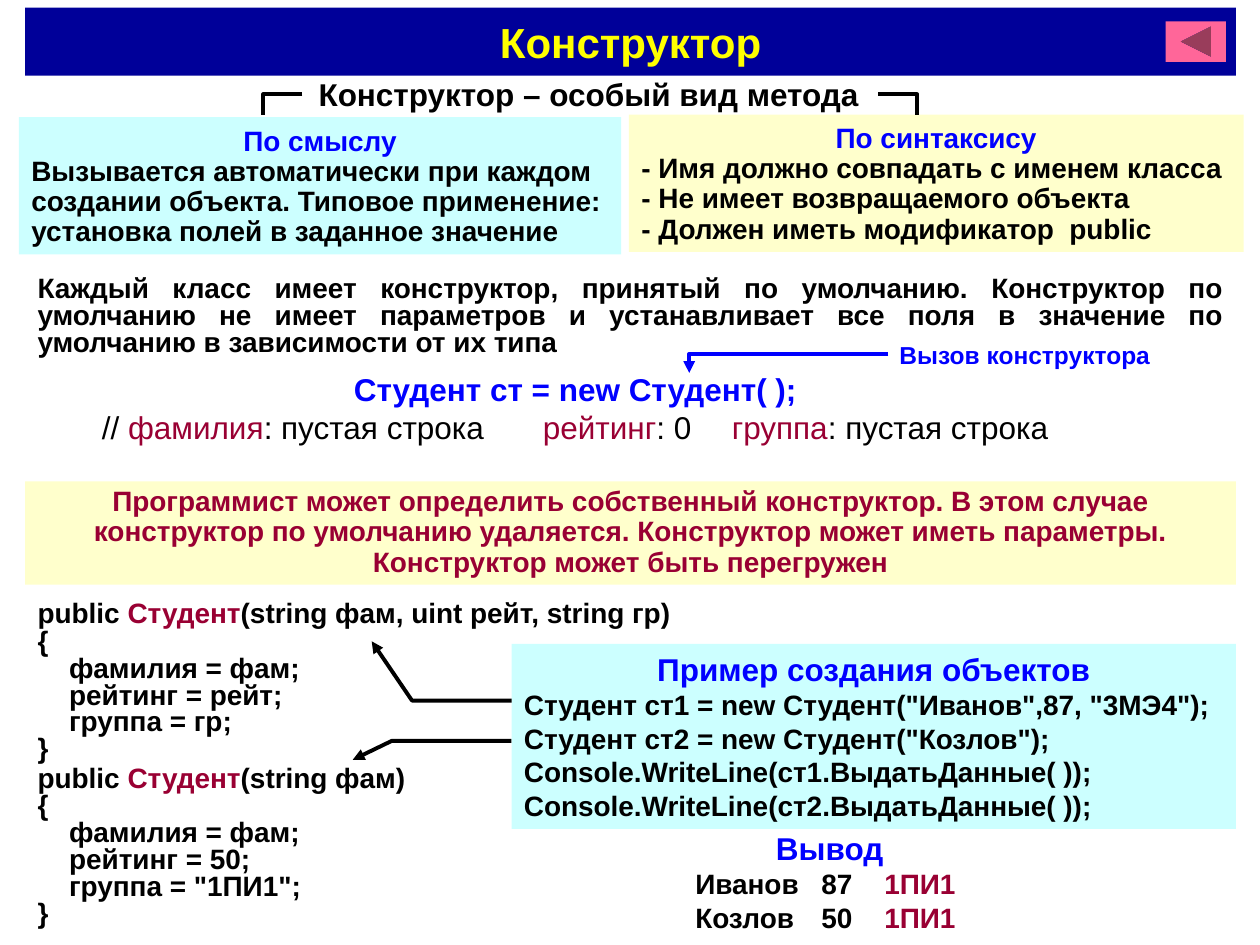
import dataclasses

import pptx
import pptx.dml.color
import pptx.enum.shapes
import pptx.enum.text
import pptx.oxml.ns
import pptx.util
from lxml import etree

Inches = pptx.util.Inches
Align = pptx.enum.text.PP_ALIGN
Preset = pptx.enum.shapes.MSO_SHAPE


@dataclasses.dataclass(frozen=True)
class Theme:
    font: str = "Arial"
    navy: str = "000099"
    yellow: str = "FFFF00"
    pink: str = "FF6699"
    cyan: str = "CCFFFF"
    cream: str = "FFFFCC"
    blue: str = "0000FF"
    wine: str = "990033"
    black: str = "000000"
    title: int = 24
    heading: int = 18
    body: int = 16
    note: int = 14
    line: float = 2.25


THEME = Theme()


def rgb(value):
    return pptx.dml.color.RGBColor.from_string(value)


def add_child(parent, tag, **attributes):
    child = etree.SubElement(parent, pptx.oxml.ns.qn(tag))
    for name, value in attributes.items():
        child.set(name, str(value))
    return child


def para(*runs, size=THEME.body, color=THEME.black, bold=True, align=Align.LEFT,
         spacing=1.0, indent=0, tabs=()):
    """Describe a paragraph; a run is a string or a (string, colour) pair."""
    pairs = [(run, color) if isinstance(run, str) else run for run in runs]
    return dict(runs=pairs, size=size, bold=bold, align=align, spacing=spacing,
                indent=indent, tabs=tabs)


def heading(text, size=THEME.heading):
    return para(text, size=size, color=THEME.blue, align=Align.CENTER)


def write(shape, paragraphs, anchor=pptx.enum.text.MSO_ANCHOR.TOP):
    frame = shape.text_frame
    frame.word_wrap = True
    frame.auto_size = pptx.enum.text.MSO_AUTO_SIZE.NONE
    frame.vertical_anchor = anchor
    for index, content in enumerate(paragraphs):
        paragraph = frame.add_paragraph() if index else frame.paragraphs[0]
        paragraph.alignment = content["align"]
        paragraph.line_spacing = content["spacing"]
        paragraph.space_before = pptx.util.Pt(0)
        properties = paragraph._p.get_or_add_pPr()
        properties.set("marL", str(Inches(content["indent"])))
        properties.set("indent", "0")
        add_child(properties, "a:buNone")
        if content["tabs"]:
            stops = add_child(properties, "a:tabLst")
            for stop in content["tabs"]:
                add_child(stops, "a:tab", pos=Inches(stop), algn="l")
        for text, color in content["runs"]:
            run = paragraph.add_run()
            run.text = text
            run.font.name = THEME.font
            run.font.size = pptx.util.Pt(content["size"])
            run.font.bold = content["bold"]
            run.font.color.rgb = rgb(color)


def paint(shape, color):
    shape.fill.solid()
    shape.fill.fore_color.rgb = rgb(color)
    shape.line.fill.background()


def place(placeholder, box):
    (placeholder.left, placeholder.top,
     placeholder.width, placeholder.height) = map(Inches, box)


def panel(slide, box, color, paragraphs, preset=Preset.RECTANGLE):
    shape = slide.shapes.add_shape(preset, *map(Inches, box))
    shape.shadow.inherit = False
    paint(shape, color)
    write(shape, paragraphs)


def text_box(slide, box, *paragraphs):
    write(slide.shapes.add_textbox(*map(Inches, box)), paragraphs)


def bent_line(slide, points, color=THEME.black, arrow=False):
    start, *rest = [(Inches(x), Inches(y)) for x, y in points]
    builder = slide.shapes.build_freeform(*start)
    builder.add_line_segments(rest, close=False)
    shape = builder.convert_to_shape()
    shape.shadow.inherit = False
    shape.fill.background()
    shape.line.color.rgb = rgb(color)
    shape.line.width = pptx.util.Pt(THEME.line)
    if arrow:
        outline = shape._element.spPr.find(pptx.oxml.ns.qn("a:ln"))
        add_child(outline, "a:tailEnd", type="triangle")


def title_bar(slide, box):
    title = slide.shapes.title
    place(title, box)
    paint(title, THEME.navy)
    write(title, [para("Конструктор", size=THEME.title, color=THEME.yellow,
                       align=Align.CENTER)], pptx.enum.text.MSO_ANCHOR.MIDDLE)
    left, top, width, _ = box
    panel(slide, (left + width - 0.56, top + 0.11, 0.48, 0.32), THEME.pink, [],
          Preset.ACTION_BUTTON_BACK_OR_PREVIOUS)


def definition(slide, box):
    left, top, width, _ = box
    text_box(slide, (left + 0.34, top, width, 0.4),
             para("Конструктор – особый вид метода", size=THEME.heading))
    # Brackets lead from the phrase to its two aspects
    for inner, outer in ((2.4, 2.09), (6.97, 7.28)):
        bent_line(slide, [(inner, top + 0.2), (outer, top + 0.2), (outer, top + 0.36)])


def meaning(slide, box):
    panel(slide, box, THEME.cyan, [
        heading("По смыслу", THEME.body),
        para("Вызывается автоматически при каждом создании объекта. Типовое "
             "применение: установка полей в заданное значение", spacing=0.9)])


def syntax(slide, box):
    rules = slide.placeholders[1]
    place(rules, box)
    paint(rules, THEME.cream)
    write(rules, [heading("По синтаксису", THEME.body)] + [
        para(rule, spacing=0.9) for rule in (
            "- Имя должно совпадать с именем класса",
            "- Не имеет возвращаемого объекта",
            "- Должен иметь модификатор  public")])


def default_constructor(slide, box):
    left, top, width, _ = box
    text_box(slide, (left, top, width, 0.74), para(
        "Каждый класс имеет конструктор, принятый по умолчанию. Конструктор по "
        "умолчанию не имеет параметров и устанавливает все поля в значение по "
        "умолчанию в зависимости от их типа", align=Align.JUSTIFY, spacing=0.8))
    text_box(slide, (left + 2.51, top + 0.74, 4, 0.4),
             para("Студент ст = new Студент( );", size=THEME.heading, color=THEME.blue))
    # Default field values, in three columns
    text_box(slide, (left + 0.51, top + 1.04, 8.4, 0.4), para(
        "// ", ("фамилия", THEME.wine), ": пустая строка\t",
        ("рейтинг", THEME.wine), ": 0\t", ("группа", THEME.wine), ": пустая строка",
        size=THEME.heading, bold=False, tabs=(3.59, 5.39)))
    # Call label and its arrow
    text_box(slide, (left + 6.84, top + 0.5, 2.3, 0.34),
             para("Вызов конструктора", size=THEME.note, color=THEME.blue))
    bent_line(slide, [(7.05, 2.81), (5.47, 2.81), (5.47, 2.96)], THEME.blue, arrow=True)


def own_constructor(slide, box):
    panel(slide, box, THEME.cream, [para(
        "Программист может определить собственный конструктор. В этом случае "
        "конструктор по умолчанию удаляется. Конструктор может иметь параметры. "
        "Конструктор может быть перегружен",
        color=THEME.wine, align=Align.CENTER, spacing=0.9)])


def class_code(slide, box):
    constructors = (
        ("(string фам, uint рейт, string гр)", "рейт", "гр"),
        ("(string фам)", "50", '"1ПИ1"'))
    lines = []
    for parameters, rating, group in constructors:
        lines.append(para("public ", ("Студент", THEME.wine), parameters, spacing=0.9))
        lines.append(para("{", spacing=0.8))
        for field, value in (("фамилия", "фам"), ("рейтинг", rating), ("группа", group)):
            lines.append(para(f"{field} = {value};", spacing=0.8, indent=0.25))
        lines.append(para("}", spacing=0.8))
    text_box(slide, box, *lines)


def usage_example(slide, box):
    panel(slide, box, THEME.cyan, [heading("Пример создания объектов")] + [
        para(line) for line in (
            'Студент ст1 = new Студент("Иванов",87, "3МЭ4");',
            'Студент ст2 = new Студент("Козлов");',
            "Console.WriteLine(ст1.ВыдатьДанные( ));",
            "Console.WriteLine(ст2.ВыдатьДанные( ));")])
    # Arrows from each call to its constructor
    bent_line(slide, [(box[0], 5.56), (3.27, 5.56), (2.95, 5.09)], arrow=True)
    bent_line(slide, [(box[0], 5.88), (3.11, 5.88), (2.8, 6.03)], arrow=True)


def output(slide, box):
    text_box(slide, box, heading("Вывод"), *[
        para(f"{name}\t{rating}\t", ("1ПИ1", THEME.wine), indent=1.71, tabs=(2.7, 3.14))
        for name, rating in (("Иванов", 87), ("Козлов", 50))])


def main():
    deck = pptx.Presentation()
    deck.slide_width, deck.slide_height = Inches(10), Inches(7.5)
    slide = deck.slides.add_slide(deck.slide_layouts[1])
    left, width = 0.2, 9.61
    title_bar(slide, (left, 0.06, width, 0.54))
    definition(slide, (2.09, 0.55, 5.19, 0.4))
    meaning(slide, (0.15, 0.93, 4.78, 1.09))
    syntax(slide, (4.99, 0.91, 4.88, 1.09))
    default_constructor(slide, (left, 2.15, width, 1.44))
    own_constructor(slide, (left, 3.82, width, 0.82))
    class_code(slide, (left, 4.71, 5.36, 2.72))
    usage_example(slide, (4.06, 5.11, 5.75, 1.47))
    output(slide, (3.71, 6.53, 5.75, 0.94))
    deck.save("out.pptx")


if __name__ == "__main__":
    main()
